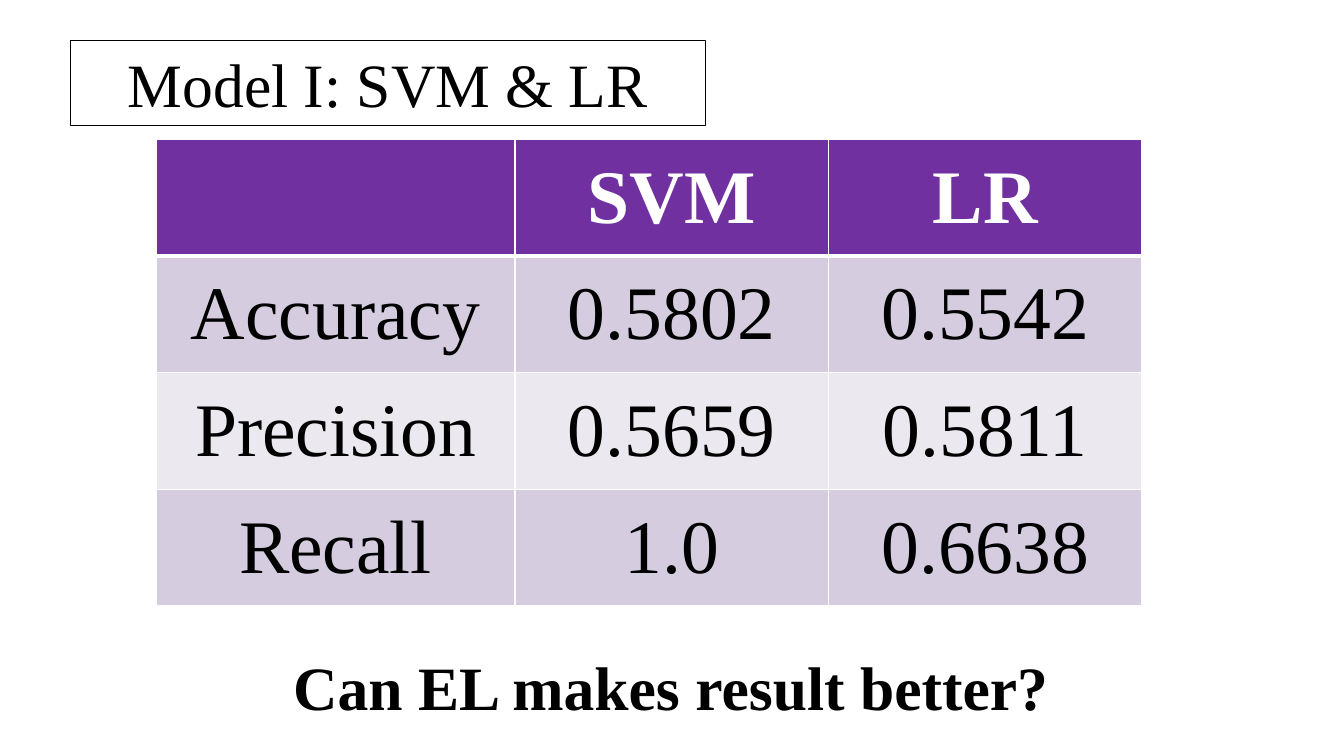
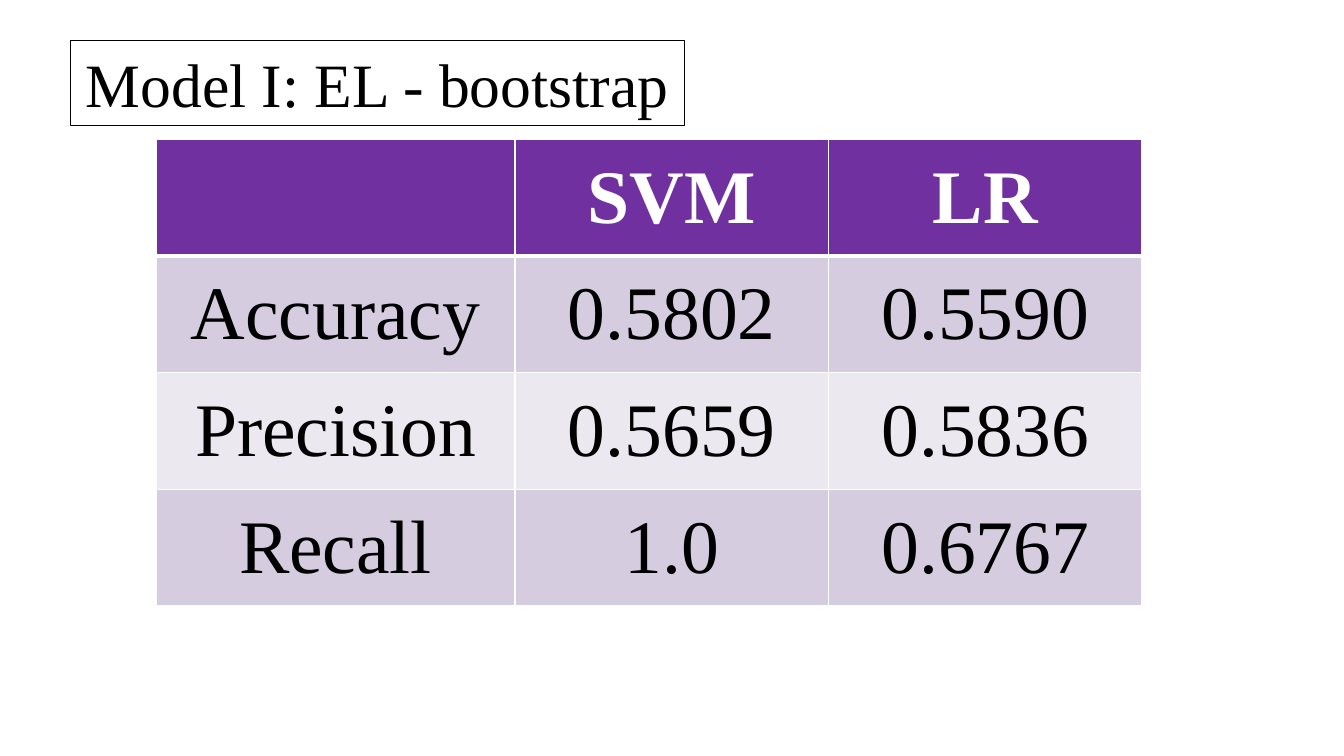
from dataclasses import dataclass

import lxml.etree
import pptx
import pptx.dml.color
import pptx.enum.text
import pptx.oxml.ns
import pptx.presentation
import pptx.slide
import pptx.table
import pptx.text.text
import pptx.util

Cm = pptx.util.Cm
Pt = pptx.util.Pt
RGBColor = pptx.dml.color.RGBColor
Align = pptx.enum.text.PP_ALIGN
Anchor = pptx.enum.text.MSO_ANCHOR


@dataclass(frozen=True)
class Theme:
    font: str = "Times New Roman"
    text: str = "000000"
    inverse: str = "FFFFFF"
    header: str = "7030A0"
    bands: tuple[str, str] = ("D5CDDF", "EBE8F0")
    title_size: int = 44
    table_size: int = 54
    frame_width: float = 0.25
    grid_width: float = 1
    header_rule_width: float = 3


@dataclass(frozen=True)
class Box:
    left: float
    top: float
    width: float
    height: float

    def lengths(self) -> tuple[int, int, int, int]:
        return Cm(self.left), Cm(self.top), Cm(self.width), Cm(self.height)


@dataclass(frozen=True)
class ResultSlide:
    title: str
    title_width: float
    svm: tuple[str, str, str]
    lr: tuple[str, str, str]
    question: str = ""


THEME = Theme()
METRICS = ("Accuracy", "Precision", "Recall")
COLUMN_WIDTHS = (9.04, 7.9, 7.9)
ROW_HEIGHT = 2.94
TABLE_LEFT, TABLE_TOP = 3.94, 3.51
QUESTION_BOX = Box(7.14, 15.27, 22.73, 3.07)

RESULTS = (
    ResultSlide(
        "Model I: SVM & LR", 16,
        ("0.5802", "0.5659", "1.0"), ("0.5542", "0.5811", "0.6638"),
        "Can EL makes result better?",
    ),
    ResultSlide(
        "Model I: EL - bootstrap", 15.47,
        ("0.5802", "0.5659", "1.0"), ("0.5590", "0.5836", "0.6767"),
    ),
)


def add_text(paragraph: pptx.text.text._Paragraph, text: str, size: int,
             color: str, bold: bool = False) -> None:
    run = paragraph.add_run()
    run.text = text
    run.font.name = THEME.font
    run.font.size = Pt(size)
    run.font.bold = bold
    run.font.color.rgb = RGBColor.from_string(color)


def add_heading(slide: pptx.slide.Slide, box: Box, text: str,
                alignment: Align, line_spacing: float = 1.0,
                bold: bool = False, framed: bool = False) -> None:
    shape = slide.shapes.add_textbox(*box.lengths())
    if framed:
        shape.line.color.rgb = RGBColor.from_string(THEME.text)
        shape.line.width = Pt(THEME.frame_width)
    frame = shape.text_frame
    frame.word_wrap = True
    frame.vertical_anchor = Anchor.BOTTOM
    paragraph = frame.paragraphs[0]
    paragraph.alignment = alignment
    paragraph.line_spacing = line_spacing
    add_text(paragraph, text, THEME.title_size, THEME.text, bold)


def set_borders(cell: pptx.table._Cell, top: float, bottom: float) -> None:
    qn = pptx.oxml.ns.qn
    properties = cell._tc.get_or_add_tcPr()
    widths = {"lnL": THEME.grid_width, "lnR": THEME.grid_width,
              "lnT": top, "lnB": bottom}
    for side, width in widths.items():
        line = lxml.etree.SubElement(properties, qn(f"a:{side}"), w=str(Pt(width)))
        fill = lxml.etree.SubElement(line, qn("a:solidFill"))
        lxml.etree.SubElement(fill, qn("a:srgbClr"), val=THEME.inverse)


def add_result_table(slide: pptx.slide.Slide, result: ResultSlide) -> None:
    rows = [("", "SVM", "LR"), *zip(METRICS, result.svm, result.lr)]
    box = Box(TABLE_LEFT, TABLE_TOP, sum(COLUMN_WIDTHS), ROW_HEIGHT * len(rows))
    table = slide.shapes.add_table(
        len(rows), len(COLUMN_WIDTHS), *box.lengths()).table
    table.horz_banding = False
    for column, width in zip(table.columns, COLUMN_WIDTHS):
        column.width = Cm(width)
    for row_index, values in enumerate(rows):
        table.rows[row_index].height = Cm(ROW_HEIGHT)
        is_header = row_index == 0
        fill = THEME.header if is_header else THEME.bands[(row_index - 1) % 2]
        color = THEME.inverse if is_header else THEME.text
        top = THEME.header_rule_width if row_index == 1 else THEME.grid_width
        bottom = THEME.header_rule_width if is_header else THEME.grid_width
        for column_index, value in enumerate(values):
            cell = table.cell(row_index, column_index)
            set_borders(cell, top, bottom)
            cell.fill.solid()
            cell.fill.fore_color.rgb = RGBColor.from_string(fill)
            cell.vertical_anchor = Anchor.MIDDLE
            paragraph = cell.text_frame.paragraphs[0]
            paragraph.alignment = Align.CENTER
            if value:
                add_text(paragraph, value, THEME.table_size, color, is_header)


def add_result_slide(presentation: pptx.presentation.Presentation,
                     result: ResultSlide) -> None:
    slide = presentation.slides.add_slide(presentation.slide_layouts[6])
    add_result_table(slide, result)
    title_box = Box(1.78, 1.02, result.title_width, 2.13)
    add_heading(slide, title_box, result.title, Align.CENTER, framed=True)
    if result.question:
        add_heading(slide, QUESTION_BOX, result.question, Align.LEFT,
                    line_spacing=1.5, bold=True)


def main() -> None:
    presentation = pptx.Presentation()
    presentation.slide_width = Cm(33.87)
    presentation.slide_height = Cm(19.05)
    for result in RESULTS:
        add_result_slide(presentation, result)
    presentation.save("out.pptx")


if __name__ == "__main__":
    main()
